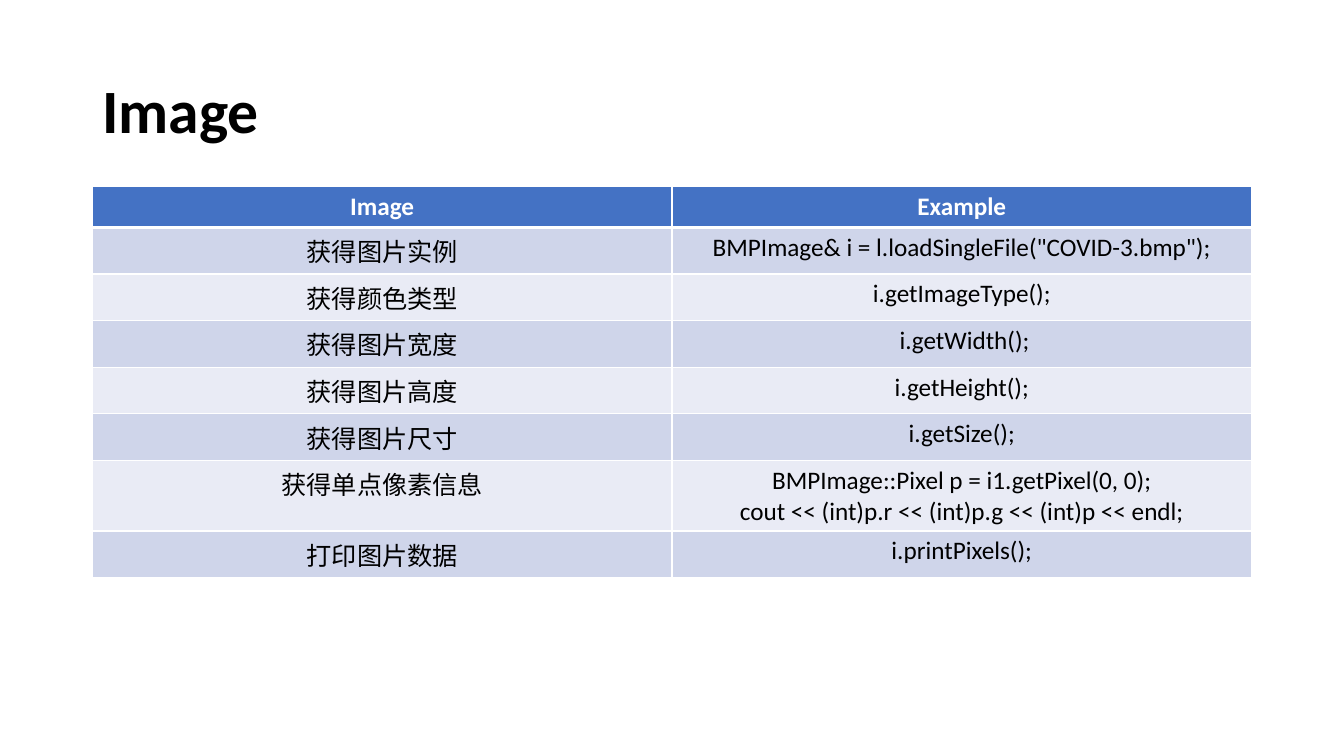
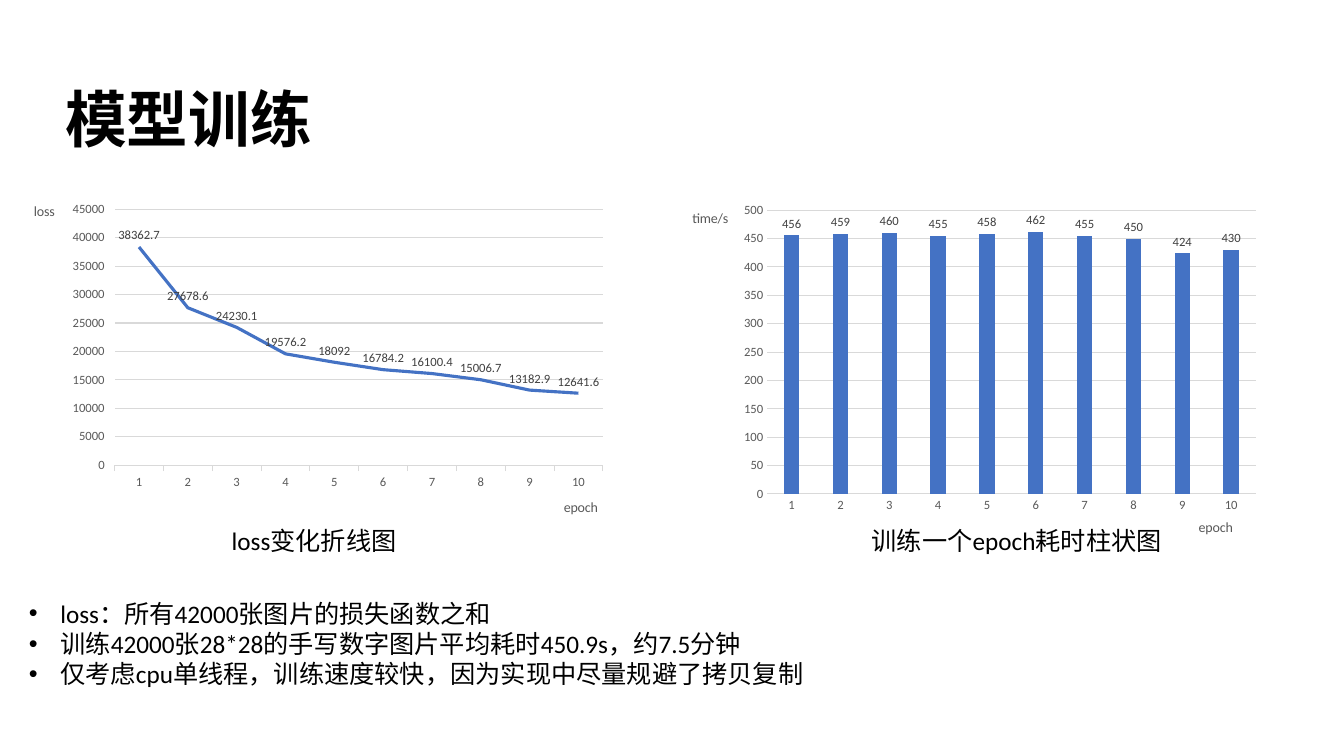
import pptx
import pptx.chart.data
import pptx.dml.color
import pptx.enum.chart
import pptx.enum.lang
import pptx.enum.text
import pptx.oxml
import pptx.oxml.ns
import pptx.util

RGBColor = pptx.dml.color.RGBColor
BLACK = RGBColor(0x00, 0x00, 0x00)
WHITE = RGBColor(0xFF, 0xFF, 0xFF)
BLUE = RGBColor(0x44, 0x72, 0xC4)
BAND_DARK = RGBColor(0xCF, 0xD5, 0xEA)
BAND_LIGHT = RGBColor(0xE9, 0xEB, 0xF5)
GRID_GREY = RGBColor(0xD9, 0xD9, 0xD9)
AXIS_GREY = RGBColor(0x59, 0x59, 0x59)
LABEL_GREY = RGBColor(0x40, 0x40, 0x40)

CHART = pptx.enum.chart.XL_CHART_TYPE
LABEL = pptx.enum.chart.XL_LABEL_POSITION
TICK = pptx.enum.chart.XL_TICK_MARK
ALIGN = pptx.enum.text.PP_ALIGN
ANCHOR = pptx.enum.text.MSO_ANCHOR
CHINESE = pptx.enum.lang.MSO_LANGUAGE_ID.SIMPLIFIED_CHINESE


def place(element, index, x, y, w=None, h=None):
    """Fix a chart part at shares of the chart's size."""
    for old in element.findall(pptx.oxml.ns.qn("c:layout")):
        element.remove(old)
    target = '<c:layoutTarget val="inner"/>' if w else ""
    modes = '<c:xMode val="edge"/><c:yMode val="edge"/>'
    sizes = "".join(f'<c:{name} val="{value}"/>'
                    for name, value in zip("xywh", (x, y, w, h)) if value is not None)
    element.insert(index, pptx.oxml.parse_xml(
        f'<c:layout {pptx.oxml.ns.nsdecls("c")}><c:manualLayout>'
        f'{target}{modes}{sizes}</c:manualLayout></c:layout>'))


def add_borders(cell, widths):
    """Draw white borders; widths are points for left, right, top and bottom."""
    for index, (side, width) in enumerate(zip("LRTB", widths)):
        cell._tc.get_or_add_tcPr().insert(index, pptx.oxml.parse_xml(
            f'<a:ln{side} {pptx.oxml.ns.nsdecls("a")} w="{pptx.util.Pt(width)}">'
            f'<a:solidFill><a:srgbClr val="{WHITE}"/></a:solidFill></a:ln{side}>'))


class Deck:
    """Shared style and the current slide; the grid has 160 columns and 90 rows."""
    FONT = "Calibri"
    TITLE_SIZE, BODY_SIZE, AXIS_TITLE_SIZE, AXIS_SIZE = 44, 18, 10, 9
    COLUMNS, ROWS = 160, 90

    def __init__(self):
        self.prs = pptx.Presentation()
        self.prs.slide_width = pptx.util.Inches(13.33)
        self.prs.slide_height = pptx.util.Inches(7.5)
        self.slide = None

    def add_slide(self):
        self.slide = self.prs.slides.add_slide(self.prs.slide_layouts[6])

    def box(self, column, row, columns, rows):
        unit_x = self.prs.slide_width / self.COLUMNS
        unit_y = self.prs.slide_height / self.ROWS
        return (round(column * unit_x), round(row * unit_y),
                round(columns * unit_x), round(rows * unit_y))

    def style(self, font, size, color, bold=False):
        font.name, font.size, font.bold = self.FONT, pptx.util.Pt(size), bold
        font.color.rgb = color

    def style_text(self, frame, size, color, bold=False):
        for paragraph in frame.paragraphs:
            for run in paragraph.runs:
                self.style(run.font, size, color, bold)
                run.font.language_id = CHINESE

    def text(self, words, place_on_grid, size=BODY_SIZE, bold=False):
        frame = self.slide.shapes.add_textbox(*self.box(*place_on_grid)).text_frame
        frame.word_wrap = True
        frame.text = words
        self.style_text(frame, size, BLACK, bold)
        return frame

    def title(self, words, place_on_grid):
        frame = self.text(words, place_on_grid, self.TITLE_SIZE, True)
        frame.vertical_anchor = ANCHOR.MIDDLE
        frame.paragraphs[0].line_spacing = 0.9

    def bullets(self, items, place_on_grid):
        indent = pptx.util.Pt(22.5)
        for paragraph in self.text("\n".join(items), place_on_grid).paragraphs:
            properties = paragraph._p.get_or_add_pPr()
            properties.set("marL", str(indent))
            properties.set("indent", str(-indent))
            properties.append(pptx.oxml.parse_xml(
                f'<a:buFont {pptx.oxml.ns.nsdecls("a")} typeface="Arial"/>'))
            properties.append(pptx.oxml.parse_xml(
                f'<a:buChar {pptx.oxml.ns.nsdecls("a")} char="•"/>'))

    def table(self, rows, column, row, columns, header_height, row_height):
        area = self.box(column, row, columns, row_height * len(rows))
        grid = self.slide.shapes.add_table(len(rows), len(rows[0]), *area).table
        grid.rows[0].height = self.box(0, 0, 0, header_height)[3]
        for r, words_in_row in enumerate(rows):
            header = r == 0
            fill = BLUE if header else (BAND_LIGHT, BAND_DARK)[r % 2]
            for c, words in enumerate(words_in_row):
                cell = grid.cell(r, c)
                cell.fill.solid()
                cell.fill.fore_color.rgb = fill
                add_borders(cell, (1, 1, 3 if r == 1 else 1, 3 if header else 1))
                cell.text_frame.text = words
                self.style_text(cell.text_frame, self.BODY_SIZE,
                                WHITE if header else BLACK, header)
                for paragraph in cell.text_frame.paragraphs:
                    paragraph.alignment = ALIGN.CENTER

    def axis(self, axis, name, name_at, tick):
        self.style(axis.tick_labels.font, self.AXIS_SIZE, AXIS_GREY)
        axis.major_tick_mark, axis.minor_tick_mark = tick, TICK.NONE
        frame = axis.axis_title.text_frame
        frame.text = name
        self.style_text(frame, self.AXIS_TITLE_SIZE, AXIS_GREY)
        frame._txBody.bodyPr.set("rot", "0")
        frame._txBody.bodyPr.set("vert", "horz")
        place(axis.axis_title._element, 1, *name_at)

    def chart(self, kind, values, place_on_grid, plot_at, maximum, step,
              value_name, value_name_at, epoch_at, tick, label_position):
        data = pptx.chart.data.CategoryChartData()
        data.categories = [str(n + 1) for n in range(len(values))]
        data.add_series("Series 1", values)
        chart = self.slide.shapes.add_chart(kind, *self.box(*place_on_grid), data).chart
        chart.has_legend = chart.has_title = False
        self.style(chart.font, self.AXIS_TITLE_SIZE, BLACK)
        place(chart._chartSpace.chart.plotArea, 0, *plot_at)

        # Axes
        epochs, scale = chart.category_axis, chart.value_axis
        self.axis(epochs, "epoch", epoch_at, tick)
        self.axis(scale, value_name, value_name_at, tick)
        scale.minimum_scale, scale.maximum_scale, scale.major_unit = 0, maximum, step
        scale.format.line.fill.background()
        for line in (epochs.format.line, scale.major_gridlines.format.line):
            line.color.rgb, line.width = GRID_GREY, pptx.util.Pt(0.75)

        # Series and its value labels
        plot = chart.plots[0]
        plot.vary_by_categories = False
        series = plot.series[0]
        if kind == CHART.LINE:
            series.smooth = False
            series.marker.style = pptx.enum.chart.XL_MARKER_STYLE.NONE
            series.format.line.color.rgb = BLUE
            series.format.line.width = pptx.util.Pt(2.25)
        else:
            plot.gap_width, plot.overlap = 219, -27
            series.format.fill.solid()
            series.format.fill.fore_color.rgb = BLUE
        labels = series.data_labels
        labels.show_value, labels.position = True, label_position
        self.style(labels.font, self.AXIS_SIZE, LABEL_GREY)


def image_slide(deck):
    deck.add_slide()
    deck.title("Image", (11, 4.8, 138, 17.4))
    deck.table([
        ("Image", "Example"),
        ("获得图片实例", 'BMPImage& i = l.loadSingleFile("COVID-3.bmp");'),
        ("获得颜色类型", "i.getImageType();"),
        ("获得图片宽度", " i.getWidth();"),
        ("获得图片高度", "i.getHeight();"),
        ("获得图片尺寸", "i.getSize();"),
        ("获得单点像素信息", "BMPImage::Pixel p = i1.getPixel(0, 0);\n"
                     "cout << (int)p.r << (int)p.g << (int)p << endl;"),
        ("打印图片数据", "i.printPixels();"),
    ], column=11, row=22.2, columns=138, header_height=4.87, row_height=5.55)


def training_slide(deck):
    deck.add_slide()
    # Loss and time per epoch
    deck.chart(CHART.LINE,
               (38362.7, 27678.6, 24230.1, 19576.2, 18092,
                16784.2, 16100.4, 15006.7, 13182.9, 12641.6),
               (2.3, 23.3, 70.9, 40.6), plot_at=(0.16, 0.04, 0.82, 0.75),
               maximum=45000, step=5000, value_name="loss", value_name_at=(0.02, 0.01),
               epoch_at=(0.91, 0.88), tick=TICK.OUTSIDE, label_position=LABEL.ABOVE)
    deck.chart(CHART.COLUMN_CLUSTERED,
               (456, 459, 460, 455, 458, 462, 455, 450, 424, 430),
               (80, 23.3, 70.9, 43.3), plot_at=(0.16, 0.04, 0.82, 0.78),
               maximum=500, step=50, value_name="time/s", value_name_at=(0.03, 0.03),
               epoch_at=(0.88, 0.88), tick=TICK.NONE, label_position=LABEL.OUTSIDE_END)

    # Title, captions and findings
    deck.title("模型训练", (6.6, 10, 34.7, 9.2))
    deck.text("loss变化折线图", (26.4, 62, 22.6, 4.8))
    deck.text("训练一个epoch耗时柱状图", (102.6, 62, 38.3, 4.8))
    deck.bullets(["loss：所有42000张图片的损失函数之和",
                  "训练42000张28*28的手写数字图片平均耗时450.9s，约7.5分钟",
                  "仅考虑cpu单线程，训练速度较快，因为实现中尽量规避了拷贝复制"],
                 (2.25, 70.6, 143, 15.7))


def main():
    deck = Deck()
    image_slide(deck)
    training_slide(deck)
    deck.prs.save("out.pptx")


if __name__ == "__main__":
    main()
